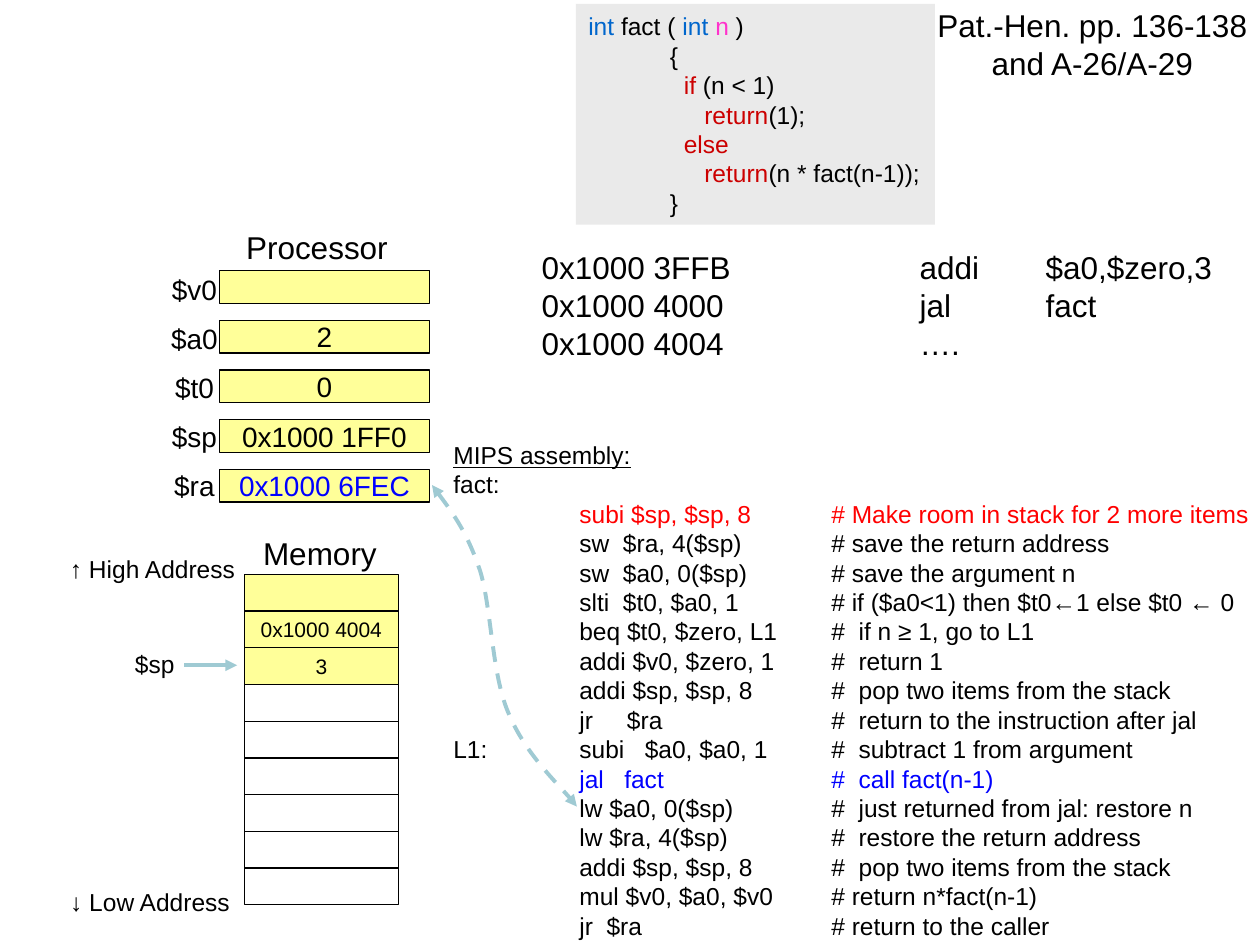
from lxml import etree
from pptx import Presentation
from pptx.dml.color import RGBColor
from pptx.enum.dml import MSO_LINE
from pptx.enum.shapes import MSO_CONNECTOR, MSO_SHAPE
from pptx.enum.text import MSO_ANCHOR, MSO_AUTO_SIZE, PP_ALIGN
from pptx.oxml.ns import qn
from pptx.util import Cm, Pt

LEFT, CENTER = PP_ALIGN.LEFT, PP_ALIGN.CENTER
MIDDLE, GROW = MSO_ANCHOR.MIDDLE, MSO_AUTO_SIZE.SHAPE_TO_FIT_TEXT
RECT, STRAIGHT = MSO_SHAPE.RECTANGLE, MSO_CONNECTOR.STRAIGHT
DASH = MSO_LINE.DASH

BLACK, WHITE, YELLOW, GRAY = "000000", "FFFFFF", "FFFF99", "EAEAEA"
RED, BLUE, TEAL = "FF0000", "0000FF", "9FCAD3"
TYPE, NAME, KEY = "0066CC", "FF33CC", "CC0000"

ASSEMBLY = [
    "fact:",
    [("\tsubi $sp, $sp, 8\t# Make room in stack for 2 more items", RED)],
    "\tsw  $ra, 4($sp)\t# save the return address",
    "\tsw  $a0, 0($sp)\t# save the argument n",
    "\tslti  $t0, $a0, 1\t# if ($a0<1) then $t0←1 else $t0 ← 0",
    "\tbeq $t0, $zero, L1\t#  if n ≥ 1, go to L1",
    "\taddi $v0, $zero, 1\t#  return 1",
    "\taddi $sp, $sp, 8\t#  pop two items from the stack",
    "\tjr     $ra\t\t#  return to the instruction after jal",
    "L1:\tsubi   $a0, $a0, 1\t#  subtract 1 from argument",
    [("\tjal   fact\t\t#  call fact(n-1)", BLUE)],
    "\tlw $a0, 0($sp)\t#  just returned from jal: restore n",
    "\tlw $ra, 4($sp)\t#  restore the return address",
    "\taddi $sp, $sp, 8\t#  pop two items from the stack",
    "\tmul $v0, $a0, $v0\t# return n*fact(n-1)",
    "\tjr  $ra\t\t# return to the caller",
]
CALLER = [
    "0x1000 3FFB\t\taddi\t$a0,$zero,3",
    "0x1000 4000\t\tjal\tfact",
    "0x1000 4004\t\t….",
]
C_CODE = [
    [("int", TYPE), (" fact ( ", BLACK), ("int ", TYPE), ("n", NAME), (" )", BLACK)],
    "            {",
    [("              ", BLACK), ("if", KEY), (" (n < 1)", BLACK)],
    [("                 ", BLACK), ("return", KEY), ("(1);", BLACK)],
    [("              ", BLACK), ("else", KEY)],
    [("                 ", BLACK), ("return", KEY), ("(n * fact(n-1));", BLACK)],
    "            }",
]
REGISTERS = [
    ("$v0", "", BLACK),
    ("$a0", "2", BLACK),
    ("$t0", "0", BLACK),
    ("$sp", "0x1000 1FF0", BLACK),
    ("$ra", "0x1000 6FEC", BLUE),
]
MEMORY = [("", YELLOW), ("0x1000 4004", YELLOW), ("3", YELLOW)] + [("", WHITE)] * 6
LABELS = [
    ("Processor", 4.7, 4.47, 3.38, 1.02, 18),
    ("Memory", 5.05, 10.64, 2.8, 1.02, 18),
    ("$sp", 2.46, 12.95, 1.32, 0.84, 14),
    ("↑ High Address", 1.12, 11.05, 3.91, 0.84, 14),
    ("↓ Low Address", 1.12, 17.75, 3.81, 0.84, 14),
]
RETURN_CURVE = [
    (8.71, 9.78),
    (9.07, 10.26), (9.42, 10.74), (9.68, 11.51),
    (9.91, 12.27), (9.91, 13.56), (10.24, 14.35),
    (10.57, 15.16), (11.4, 15.95), (11.63, 16.26),
]

prs = Presentation()
prs.slide_width, prs.slide_height = Cm(25.4), Cm(19.05)
s = prs.slides.add_slide(prs.slide_layouts[6])


def rgb(color):
    return RGBColor.from_string(color)


def write(sp, lines, size, align, grow=True):
    tf = sp.text_frame
    tf.word_wrap = False
    tf.vertical_anchor = MIDDLE
    if grow:
        tf.auto_size = GROW
    for i, line in enumerate(lines):
        p = tf.paragraphs[0] if i == 0 else tf.add_paragraph()
        p.alignment = align
        runs = [(line, BLACK)] if isinstance(line, str) else line
        if any("\t" in text for text, _ in runs):
            tabs = etree.SubElement(p._p.get_or_add_pPr(), qn("a:tabLst"))
            for n in range(1, 7):
                etree.SubElement(tabs, qn("a:tab"), pos=str(Cm(2.54 * n)), algn="l")
        for text, color in runs:
            r = p.add_run()
            r.text = text
            r.font.name = "Arial"
            r.font.size = Pt(size)
            r.font.color.rgb = rgb(color)


def box(x, y, w, h, fill, border=False):
    sp = s.shapes.add_shape(RECT, Cm(x), Cm(y), Cm(w), Cm(h))
    sp.shadow.inherit = False
    sp.fill.solid()
    sp.fill.fore_color.rgb = rgb(fill)
    if border:
        sp.line.color.rgb = rgb(BLACK)
        sp.line.width = Pt(0.75)
    else:
        sp.line.fill.background()
    return sp


def cell(x, y, w, h, fill, text, size, color=BLACK):
    sp = box(x, y, w, h, fill, True)
    if text:
        write(sp, [[(text, color)]], size, CENTER, False)


def label(text, x, y, w, h, size):
    write(s.shapes.add_textbox(Cm(x), Cm(y), Cm(w), Cm(h)), [text], size, CENTER)


def arrow_line(sp, ends):
    sp.line.color.rgb = rgb(TEAL)
    sp.line.width = Pt(2.25)
    for end in ends:
        etree.SubElement(sp.line._get_or_add_ln(), qn(end), type="triangle")


def curve(points):
    fb = s.shapes.build_freeform(*(Cm(v) for v in points[0]))
    fb.add_line_segments([(Cm(x), Cm(y)) for x, y in points[1:]], close=False)
    sp = fb.convert_to_shape()
    sp.shadow.inherit = False
    sp.fill.background()
    segs = list(sp._element.iter(qn("a:lnTo")))
    for i in range(0, len(segs), 3):
        bez = etree.SubElement(segs[i].getparent(), qn("a:cubicBezTo"))
        for seg in segs[i:i + 3]:
            bez.append(seg[0])
            seg.getparent().remove(seg)
    return sp


asm = box(8.89, 8.69, 16.69, 10.44, WHITE)
write(asm, ["MIPS assembly:"] + ASSEMBLY, 14, LEFT)
asm.text_frame.paragraphs[0].runs[0].font.underline = True

for i, (name, value, color) in enumerate(REGISTERS):
    cell(4.42, 5.46 + i, 4.24, 0.66, YELLOW, value, 16, color)
    label(name, 3.2, 5.36 + 0.99 * i, 1.44, 0.94, 16)

for i, (value, fill) in enumerate(MEMORY):
    cell(4.93, 11.58 + 0.74 * i, 3.1, 0.74, fill, value, 12)

for item in LABELS:
    label(*item)

write(s.shapes.add_textbox(Cm(10.67), Cm(4.88), Cm(14.02), Cm(2.54)), CALLER, 18, LEFT)
write(box(18.64, 0, 6.76, 1.78, WHITE), ["Pat.-Hen. pp. 136-138", "and A-26/A-29"], 18, CENTER)
write(box(11.61, 0.08, 7.24, 4.45, GRAY), C_CODE, 14, LEFT)

path = curve(RETURN_CURVE)
path.line.dash_style = DASH
arrow_line(path, ["a:headEnd", "a:tailEnd"])

pointer = s.shapes.add_connector(STRAIGHT, Cm(3.71), Cm(13.41), Cm(4.78), Cm(13.41))
etree.SubElement(pointer._element.spPr, qn("a:ln"))
arrow_line(pointer, ["a:tailEnd"])
etree.SubElement(pointer._element.spPr, qn("a:effectLst"))

prs.save("out.pptx")
